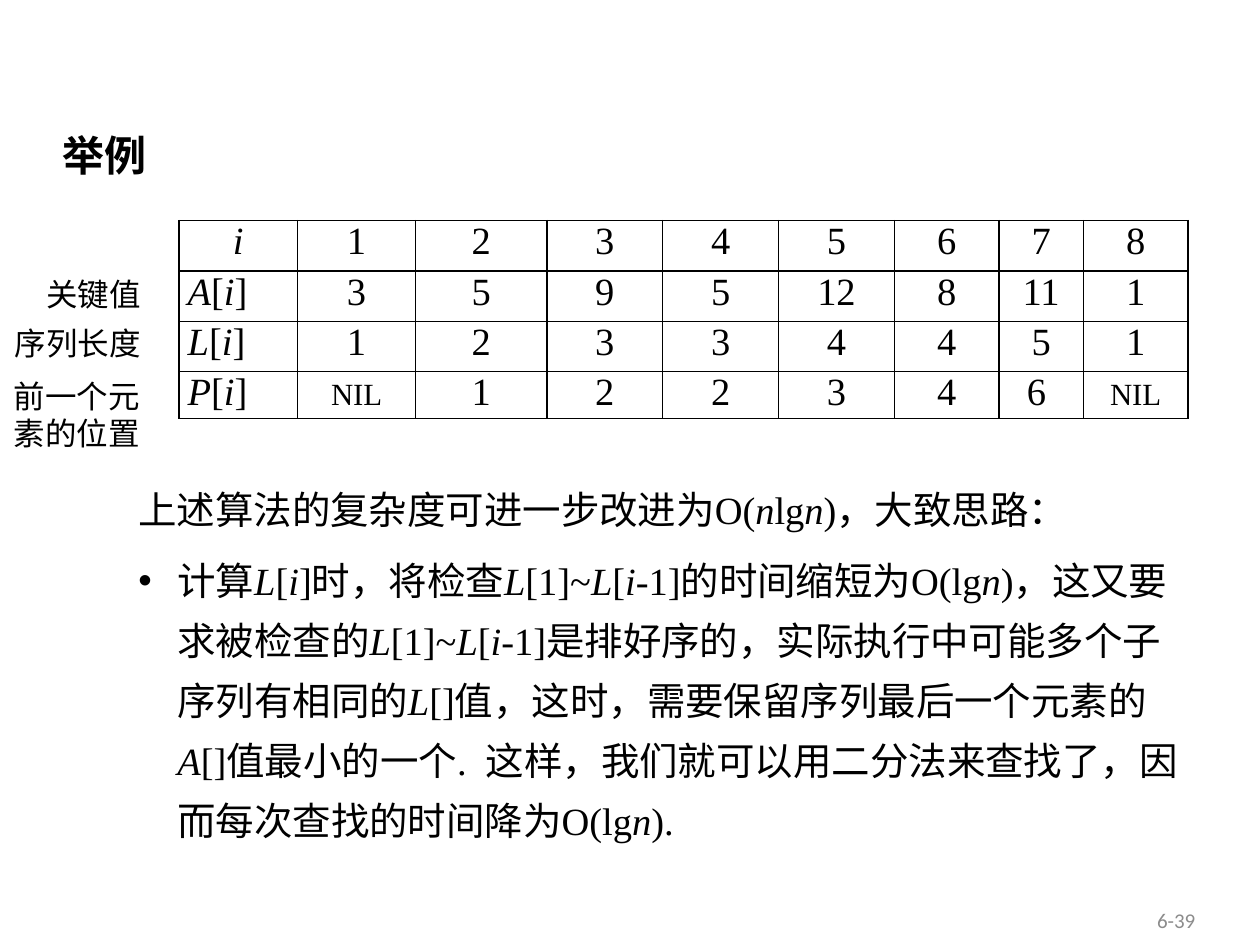
from dataclasses import dataclass

from lxml.etree import SubElement
from pptx import Presentation
from pptx.dml.color import RGBColor
from pptx.enum.text import MSO_ANCHOR as Anchor, PP_ALIGN as Align
from pptx.oxml.ns import qn
from pptx.util import Inches, Pt


@dataclass(frozen=True)
class Theme:
    ink: str = "000000"
    muted: str = "8C8C8C"
    serif: str = "Times New Roman"
    sans: str = "Calibri"
    chinese: str = "Noto Sans CJK SC"
    title_size: int = 24
    body_size: int = 22
    label_size: int = 18
    page_size: int = 12
    border_width: int = 1


THEME = Theme()
UNIT = 0.1  # one grid column or row, in inches
GRID_COLUMNS, GRID_ROWS = 100, 75

COLUMN_WIDTHS = [9.4, 9.4, 10.4, 9.2, 9.2, 9.2, 8.3, 6.7, 8.3]
ROW_HEIGHTS = [4, 4, 4, 3.7]
# Text between asterisks is set in italics
TABLE_ROWS = [
    ["*i*", "1", "2", "3", "4", "5", "6", "7", "8"],
    ["*A*[*i*]", "3", "5", "9", "5", "12", "8", "11", "1"],
    ["*L*[*i*]", "1", "2", "3", "3", "4", "4", "5", "1"],
    ["*P*[*i*]", "nil", "1", "2", "2", "3", "4", "6 ", "nil"],
]
# Left, top, width, height and lines of each row label
ROW_LABELS = [
    ((2.7, 21.3, 9.6, 4), ["关键值"]),
    ((0.2, 25.2, 12.1, 4), ["序列长度"]),
    ((0.1, 29.4, 12.1, 7.1), ["前一个元", "素的位置"]),
]
INTRODUCTION = "上述算法的复杂度可进一步改进为O(*n*lg*n*)，大致思路："
IDEA = (
    "计算*L*[*i*]时，将检查*L*[1]~*L*[*i*-1]的时间缩短为O(lg*n*)，这又要求被检查的"
    "*L*[1]~*L*[*i*-1]是排好序的，实际执行中可能多个子序列有相同的*L*[]值，这时，"
    "需要保留序列最后一个元素的*A*[]值最小的一个.  这样，我们就可以用二分法来查找了，"
    "因而每次查找的时间降为O(lg*n*)."
)


def grid(count):
    return Inches(count * UNIT)


def write(paragraph, marked_text, size, latin, color=THEME.ink, bold=False):
    """Fill a paragraph with runs, alternating upright and italic."""
    for index, piece in enumerate(marked_text.split("*")):
        if not piece:
            continue
        run = paragraph.add_run()
        run.text = piece
        font = run.font
        font.size, font.name, font.bold = Pt(size), latin, bold
        font.italic = index % 2 == 1
        font.color.rgb = RGBColor.from_string(color)
        SubElement(font._element, qn("a:ea"), typeface=THEME.chinese)


def add_text_frame(slide, box, wrap=True):
    frame = slide.shapes.add_textbox(*map(grid, box)).text_frame
    frame.word_wrap = wrap
    return frame


def add_title(slide, box):
    paragraph = add_text_frame(slide, box).paragraphs[0]
    write(paragraph, "举例", THEME.title_size, THEME.chinese, bold=True)


def add_borders(cell):
    properties = cell._tc.get_or_add_tcPr()
    for position, side in enumerate(("a:lnL", "a:lnR", "a:lnT", "a:lnB")):
        line = properties.makeelement(qn(side), {"w": str(Pt(THEME.border_width))})
        fill = SubElement(line, qn("a:solidFill"))
        SubElement(fill, qn("a:srgbClr"), val=THEME.ink)
        properties.insert(position, line)  # borders come before the fill


def fill_cell(cell, text, centered):
    cell.margin_left = cell.margin_right = grid(0.7)
    cell.margin_top = cell.margin_bottom = 0
    cell.fill.background()
    add_borders(cell)
    paragraph = cell.text_frame.paragraphs[0]
    paragraph.alignment = Align.CENTER if centered else Align.LEFT
    write(paragraph, text, THEME.body_size, THEME.serif)
    if text == "nil":
        paragraph.runs[0].font._element.set("cap", "small")


def add_sequence_table(slide, left, top):
    box = (left, top, sum(COLUMN_WIDTHS), sum(ROW_HEIGHTS))
    table = slide.shapes.add_table(
        len(ROW_HEIGHTS), len(COLUMN_WIDTHS), *map(grid, box)).table
    table.first_row = table.horz_banding = False
    for column, width in zip(table.columns, COLUMN_WIDTHS):
        column.width = grid(width)
    for row_index, (row, height) in enumerate(zip(table.rows, ROW_HEIGHTS)):
        row.height = grid(height)
        for column_index, text in enumerate(TABLE_ROWS[row_index]):
            centered = row_index == 0 or column_index > 0
            fill_cell(row.cells[column_index], text, centered)


def add_row_label(slide, box, lines):
    frame = add_text_frame(slide, box, wrap=False)
    for index, line in enumerate(lines):
        paragraph = frame.add_paragraph() if index else frame.paragraphs[0]
        write(paragraph, line, THEME.label_size, THEME.sans)


def add_explanation(slide, box):
    frame = add_text_frame(slide, box)
    introduction, idea = frame.paragraphs[0], frame.add_paragraph()
    introduction.line_spacing = idea.line_spacing = 1.3
    idea.space_before = idea.space_after = Pt(6)
    # Hanging bullet
    properties = idea._p.get_or_add_pPr()
    indent = grid(3.1)
    properties.set("marL", str(indent))
    properties.set("indent", str(-indent))
    SubElement(properties, qn("a:buFont"), typeface="Arial")
    SubElement(properties, qn("a:buChar"), char="•")
    write(introduction, INTRODUCTION, THEME.body_size, THEME.serif)
    write(idea, IDEA, THEME.body_size, THEME.serif)


def add_page_number(slide, box):
    frame = add_text_frame(slide, box)
    frame.vertical_anchor = Anchor.MIDDLE
    paragraph = frame.paragraphs[0]
    paragraph.alignment = Align.CENTER
    write(paragraph, "6-39", THEME.page_size, THEME.sans, THEME.muted)


def main():
    presentation = Presentation()
    presentation.slide_width = grid(GRID_COLUMNS)
    presentation.slide_height = grid(GRID_ROWS)
    slide = presentation.slides.add_slide(presentation.slide_layouts[6])

    add_page_number(slide, (87, 71, 12.7, 4))
    add_title(slide, (4, 9.8, 80.8, 5))
    add_sequence_table(slide, 14.2, 17.5)
    add_explanation(slide, (10, 37, 85.4, 34.6))
    for box, lines in ROW_LABELS:
        add_row_label(slide, box, lines)

    presentation.save("out.pptx")


if __name__ == "__main__":
    main()
